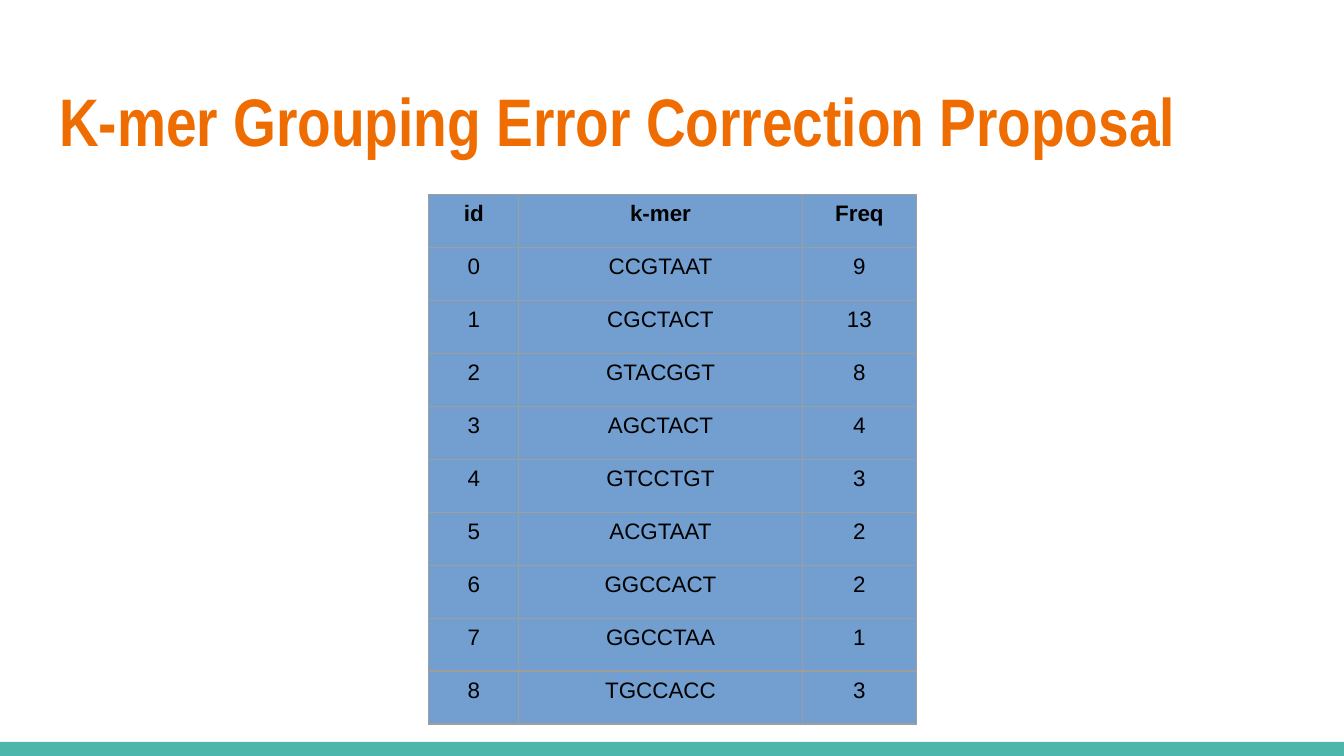
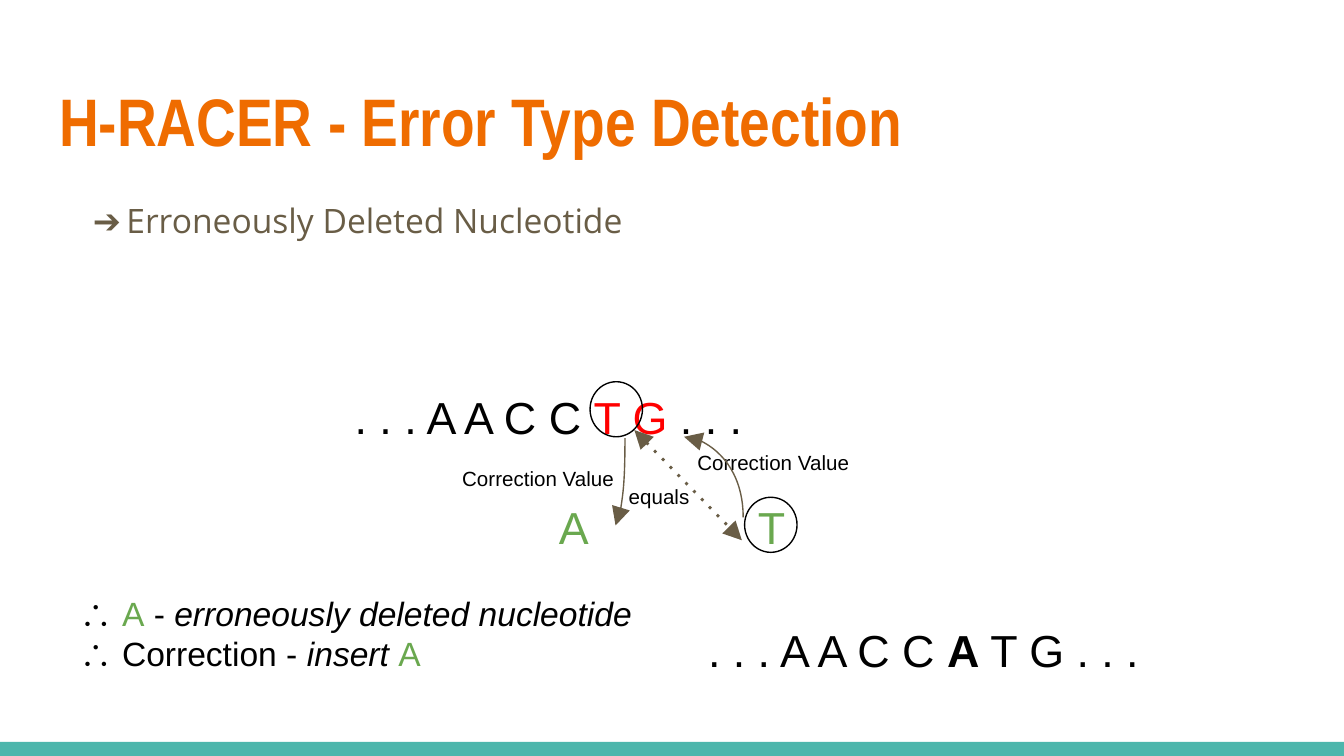
from dataclasses import dataclass
from typing import Optional

from lxml.etree import SubElement
from pptx import Presentation
from pptx.dml.color import RGBColor
from pptx.enum.shapes import MSO_CONNECTOR, MSO_SHAPE
from pptx.enum.text import MSO_ANCHOR, MSO_AUTO_SIZE, PP_ALIGN
from pptx.oxml.ns import qn
from pptx.util import Inches, Pt


@dataclass(frozen=True)
class Theme:
    title_color: str = "EF6C00"
    muted: str = "695D46"
    band: str = "4DB6AC"
    ink: str = "000000"
    error: str = "FF0000"
    correct: str = "6AA84F"
    cell: str = "729FCF"
    border: str = "9E9E9E"
    title_font: str = "Arial Narrow"
    list_font: str = "Open Sans"
    font: str = "Arial"
    title_size: float = 36
    sequence_size: float = 24
    text_size: float = 18
    table_size: float = 12
    label_size: float = 11
    thin: float = 0.75
    thick: float = 1.5


THEME = Theme()

# Square grid: 100 columns across the slide, 56.25 rows down
CELL = Inches(0.1)
COLUMNS, ROWS = 100, 56.25


def grid(count: float) -> int:
    return round(count * CELL)


@dataclass(frozen=True)
class Box:
    column: float
    row: float
    columns: float
    rows: float

    def lengths(self) -> tuple:
        return tuple(grid(n) for n in (self.column, self.row, self.columns, self.rows))


@dataclass(frozen=True)
class Run:
    text: str
    color: str = THEME.ink
    bold: bool = False
    italic: bool = False


@dataclass(frozen=True)
class Label:
    box: Box
    size: float
    lines: tuple


@dataclass(frozen=True)
class Arrow:
    start: tuple
    end: tuple
    curved: bool = True


TITLE_BOX = Box(3.4, 4.9, 93.2, 7.7)
BODY_BOX = Box(3.4, 13.9, 93.2, 36.1)
BAND_BOX = Box(0, 55.2, COLUMNS, ROWS - 55.2)


# Shared drawing
def add_runs(paragraph, runs: tuple, size: float, font: str = THEME.font) -> None:
    for item in runs:
        run = paragraph.add_run()
        run.text = item.text
        run.font.name = font
        run.font.size = Pt(size)
        run.font.bold = item.bold
        run.font.italic = item.italic
        run.font.color.rgb = RGBColor.from_string(item.color)


def prepare_frame(shape):
    frame = shape.text_frame
    frame.word_wrap = True
    frame.auto_size = MSO_AUTO_SIZE.NONE
    frame.vertical_anchor = MSO_ANCHOR.TOP
    frame.margin_left = frame.margin_right = CELL
    frame.margin_top = frame.margin_bottom = CELL
    return frame


def fill_placeholder(shape, box: Box, run: Run, size: float, font: str):
    shape.left, shape.top, shape.width, shape.height = box.lengths()
    paragraph = prepare_frame(shape).paragraphs[0]
    paragraph.alignment = PP_ALIGN.LEFT
    paragraph.space_before = Pt(0)
    add_runs(paragraph, (run,), size, font)
    return paragraph


def add_titled_slide(presentation, layout_name: str, title: str):
    layout = presentation.slide_layouts.get_by_name(layout_name)
    slide = presentation.slides.add_slide(layout)
    fill_placeholder(slide.shapes.title, TITLE_BOX,
                     Run(title, THEME.title_color, bold=True),
                     THEME.title_size, THEME.title_font)
    return slide


def add_master_band(presentation, slide) -> None:
    """Build the bottom band and move it to the slide master."""
    band = slide.shapes.add_shape(MSO_SHAPE.RECTANGLE, *BAND_BOX.lengths())
    band.shadow.inherit = False
    band.fill.solid()
    band.fill.fore_color.rgb = RGBColor.from_string(THEME.band)
    band.line.fill.background()
    band.element.nvSpPr.cNvPr.set("id", "100")
    presentation.slide_master.shapes.element.append(band.element)


def add_label(slide, label: Label) -> None:
    frame = prepare_frame(slide.shapes.add_textbox(*label.box.lengths()))
    for index, runs in enumerate(label.lines):
        paragraph = frame.add_paragraph() if index else frame.paragraphs[0]
        add_runs(paragraph, runs, label.size)


def add_arrow_bullet(paragraph) -> None:
    paragraph.space_after = Pt(16)
    properties = paragraph._p.get_or_add_pPr()
    properties.set("marL", str(Inches(0.5)))
    properties.set("indent", str(-Inches(0.25)))
    color = SubElement(properties, qn("a:buClr"))
    SubElement(color, qn("a:srgbClr"), val=THEME.muted)
    SubElement(properties, qn("a:buFont"), typeface=THEME.list_font)
    SubElement(properties, qn("a:buChar"), char="➔")


def add_circle(slide, box: Box) -> None:
    circle = slide.shapes.add_shape(MSO_SHAPE.OVAL, *box.lengths())
    circle.shadow.inherit = False
    circle.fill.background()
    circle.line.color.rgb = RGBColor.from_string(THEME.ink)
    circle.line.width = Pt(THEME.thin)


def add_arrow(slide, arrow: Arrow) -> None:
    (x1, y1), (x2, y2) = arrow.start, arrow.end
    if arrow.curved:
        # Quarter turn about the centre, so the curve leaves vertically
        center_x, center_y = (x1 + x2) / 2, (y1 + y2) / 2
        half_width, half_height = (y2 - y1) / 2, (x1 - x2) / 2
        x1, x2 = center_x - half_width, center_x + half_width
        y1, y2 = center_y - half_height, center_y + half_height
    kind = MSO_CONNECTOR.CURVE if arrow.curved else MSO_CONNECTOR.STRAIGHT
    connector = slide.shapes.add_connector(kind, *map(grid, (x1, y1, x2, y2)))
    connector.line.color.rgb = RGBColor.from_string(THEME.muted)
    connector.line.width = Pt(THEME.thin if arrow.curved else THEME.thick)
    properties = connector.element.spPr
    line = properties.find(qn("a:ln"))
    if arrow.curved:
        properties.find(qn("a:xfrm")).set("rot", str(90 * 60000))
        properties.find(qn("a:prstGeom")).set("prst", "curvedConnector2")
        ends = ("a:tailEnd",)
    else:
        SubElement(line, qn("a:prstDash"), val="dot")
        ends = ("a:headEnd", "a:tailEnd")
    for end in ends:
        SubElement(line, qn(end), type="triangle", w="lg", len="lg")
    SubElement(properties, qn("a:effectLst"))


def format_cell(cell, text: str, bold: bool) -> None:
    properties = cell._tc.get_or_add_tcPr()
    for side in ("a:lnL", "a:lnR", "a:lnT", "a:lnB"):
        line = SubElement(properties, qn(side), w=str(Pt(THEME.thin)))
        fill = SubElement(line, qn("a:solidFill"))
        SubElement(fill, qn("a:srgbClr"), val=THEME.border)
    cell.fill.solid()
    cell.fill.fore_color.rgb = RGBColor.from_string(THEME.cell)
    cell.vertical_anchor = MSO_ANCHOR.TOP
    paragraph = cell.text_frame.paragraphs[0]
    paragraph.alignment = PP_ALIGN.CENTER
    add_runs(paragraph, (Run(text, bold=bold),), THEME.table_size)


# Slide 1: k-mer frequencies
TABLE_BOX = Box(31.9, 14.5, 36.3, 39.4)
TABLE_COLUMNS = (6.7, 21.1, 8.5)
KMER_COUNTS = (
    ("CCGTAAT", 9), ("CGCTACT", 13), ("GTACGGT", 8), ("AGCTACT", 4), ("GTCCTGT", 3),
    ("ACGTAAT", 2), ("GGCCACT", 2), ("GGCCTAA", 1), ("TGCCACC", 3),
)


def build_kmer_slide(presentation):
    slide = add_titled_slide(presentation, "Title Only",
                             "K-mer Grouping Error Correction Proposal")
    rows = [("id", "k-mer", "Freq")]
    rows += [(str(i), kmer, str(count)) for i, (kmer, count) in enumerate(KMER_COUNTS)]
    table = slide.shapes.add_table(len(rows), len(TABLE_COLUMNS),
                                   *TABLE_BOX.lengths()).table
    table.first_row = table.horz_banding = False
    for column, width in zip(table.columns, TABLE_COLUMNS):
        column.width = grid(width)
    for row_index, values in enumerate(rows):
        for column_index, text in enumerate(values):
            format_cell(table.cell(row_index, column_index), text, bold=row_index == 0)
    return slide


# Slide 2: deleted nucleotide
def sequence(column: float, row: float, *runs: Run) -> Label:
    return Label(Box(column, row, 46.1, 8.8), THEME.sequence_size, (runs,))


def nucleotide(column: float, letter: str) -> Label:
    return Label(Box(column, 36.2, 5.1, 5.8), THEME.sequence_size,
                 ((Run(letter, THEME.correct),),))


def caption(column: float, row: float, text: str, columns: float = 16.1) -> Label:
    return Label(Box(column, row, columns, 3.7), THEME.label_size, ((Run(text),),))


CONCLUSION = (
    (Run("∴ "), Run("A", THEME.correct), Run(" - "),
     Run("erroneously deleted nucleotide", italic=True)),
    (Run("∴ Correction - "), Run("insert ", italic=True), Run("A", THEME.correct)),
)
LABELS = (
    sequence(25.4, 28, Run(". . . A A C C "), Run("T G ", THEME.error), Run(". . .")),
    nucleotide(40.6, "A"),
    caption(33.4, 33.7, "Correction Value"),
    nucleotide(55.4, "T"),
    caption(50.9, 32.5, "Correction Value"),
    caption(45.8, 35, "equals", 13.4),
    Label(Box(4.9, 43.1, 50.5, 8.3), THEME.text_size, CONCLUSION),
    sequence(51.7, 45.3, Run(". . . A A C C "), Run("A ", bold=True), Run("T G . . .")),
)
CIRCLES = (Box(43.9, 28.4, 3.9, 4.1), Box(55.4, 37, 3.9, 4.1))
ARROWS = (
    Arrow((55.3, 38.5), (50.9, 32.5)),
    Arrow((46.5, 32.6), (45.8, 39.1)),
    Arrow((47.2, 32), (55.2, 40.2), curved=False),
)


def build_detection_slide(presentation) -> None:
    slide = add_titled_slide(presentation, "Title and Content",
                             "H-RACER - Error Type Detection")
    paragraph = fill_placeholder(slide.placeholders[1], BODY_BOX,
                                 Run("Erroneously Deleted Nucleotide", THEME.muted),
                                 THEME.text_size, THEME.list_font)
    add_arrow_bullet(paragraph)
    for label in LABELS:
        add_label(slide, label)
    for circle in CIRCLES:
        add_circle(slide, circle)
    for arrow in ARROWS:
        add_arrow(slide, arrow)


def main() -> None:
    presentation = Presentation()
    presentation.slide_width = grid(COLUMNS)
    presentation.slide_height = grid(ROWS)
    kmer_slide = build_kmer_slide(presentation)
    add_master_band(presentation, kmer_slide)
    build_detection_slide(presentation)
    presentation.save("out.pptx")


if __name__ == "__main__":
    main()
